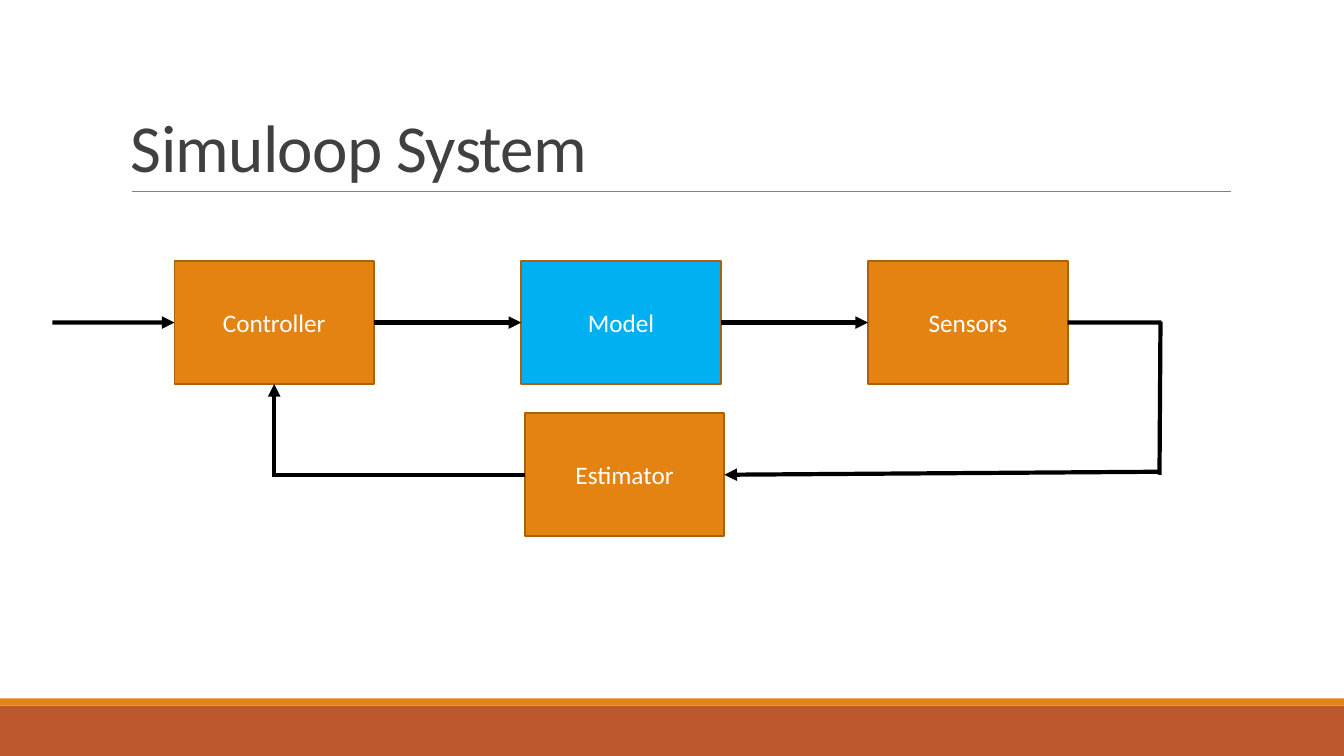
from pptx import Presentation
from pptx.dml.color import RGBColor
from pptx.enum.shapes import MSO_CONNECTOR, MSO_SHAPE
from pptx.enum.text import MSO_ANCHOR, PP_ALIGN
from pptx.oxml.ns import qn
from pptx.util import Inches, Pt
from lxml.etree import SubElement

HUES = {
    "rust": "BD582C", "orange": "E48312", "edge": "A9610D", "blue": "00B0F0",
    "ink": "404040", "rule": "808080", "black": "000000", "white": "FFFFFF",
}
HUE = {name: RGBColor.from_string(code) for name, code in HUES.items()}
WIDE, HIGH = 13.33, 7.5
LEFT, TOP = 1.73, 2.59
COL, ROW = 3.44, 1.51
BOX_W, BOX_H = 1.98, 1.22
TOP_SIDE, LEFT_SIDE, LOW_SIDE, RIGHT_SIDE = range(4)

deck = Presentation()
deck.slide_width, deck.slide_height = Inches(WIDE), Inches(HIGH)
slide = deck.slides.add_slide(deck.slide_layouts[6])
shapes = slide.shapes


def block(x, y, w, h, fill, edge=None):
    rect = shapes.add_shape(MSO_SHAPE.RECTANGLE, Inches(x), Inches(y), Inches(w), Inches(h))
    rect.shadow.inherit = False
    rect.fill.solid()
    rect.fill.fore_color.rgb = HUE[fill]
    if edge:
        rect.line.color.rgb = HUE[edge]
        rect.line.width = Pt(1.25)
    else:
        rect.line.fill.background()
    return rect


def wire(start, end, head=False, hue="black", width=3):
    (x1, y1), (x2, y2) = [p if isinstance(p[0], float) else (0, 0) for p in (start, end)]
    line = shapes.add_connector(
        MSO_CONNECTOR.STRAIGHT, Inches(x1), Inches(y1), Inches(x2), Inches(y2))
    for point, join in ((start, line.begin_connect), (end, line.end_connect)):
        if not isinstance(point[0], float):
            join(*point)
    line.line.color.rgb = HUE[hue]
    line.line.width = Pt(width)
    if head:
        SubElement(line.line._get_or_add_ln(), qn("a:tailEnd"), type="triangle")
    SubElement(line._element.spPr, qn("a:effectLst"))


block(0, 7, WIDE, 0.5, "rust")
block(0, 6.93, WIDE, 0.07, "orange")
wire((1.31, 1.9), (12.21, 1.9), hue="rule", width=0.5)

title = shapes.add_textbox(Inches(1.2), Inches(0.31), Inches(11), Inches(1.59))
frame = title.text_frame
frame.word_wrap = True
frame.vertical_anchor = MSO_ANCHOR.BOTTOM
para = frame.paragraphs[0]
para.line_spacing = 0.85
run = para.add_run()
run.text = "Simuloop System"
run.font.color.rgb = HUE["ink"]
for key, value in {"name": "Calibri", "size": Pt(48)}.items():
    setattr(run.font, key, value)
run._r.get_or_add_rPr().set("spc", "-50")

boxes = {}
for name, col, row, fill in (
    ("Controller", 0, 0, "orange"),
    ("Model", 1, 0, "blue"),
    ("Sensors", 2, 0, "orange"),
    ("Estimator", 1.01, 1, "orange"),
):
    box = block(LEFT + col * COL, TOP + row * ROW, BOX_W, BOX_H, fill, "edge")
    frame = box.text_frame
    frame.word_wrap = True
    frame.vertical_anchor = MSO_ANCHOR.MIDDLE
    para = frame.paragraphs[0]
    para.text = name
    para.alignment = PP_ALIGN.CENTER
    para.font.color.rgb = HUE["white"]
    for key, value in {"name": "Calibri", "size": Pt(18)}.items():
        setattr(para.font, key, value)
    boxes[name] = box

mid = TOP + BOX_H / 2
low = mid + ROW
turn = LEFT + BOX_W / 2
far = 11.51
control, model, sense, guess = boxes.values()
for start, end, head in (
    ((0.52, mid), (control, LEFT_SIDE), True),
    ((control, RIGHT_SIDE), (model, LEFT_SIDE), True),
    ((model, RIGHT_SIDE), (sense, LEFT_SIDE), True),
    ((sense, RIGHT_SIDE), (far + 0.01, mid), False),
    ((far - 0.01, low), (far, mid - 0.01), False),
    ((far, low - 0.03), (guess, RIGHT_SIDE), True),
    ((guess, LEFT_SIDE), (turn - 0.02, low), False),
    ((turn, low), (control, LOW_SIDE), True),
):
    wire(start, end, head)

deck.save("out.pptx")
